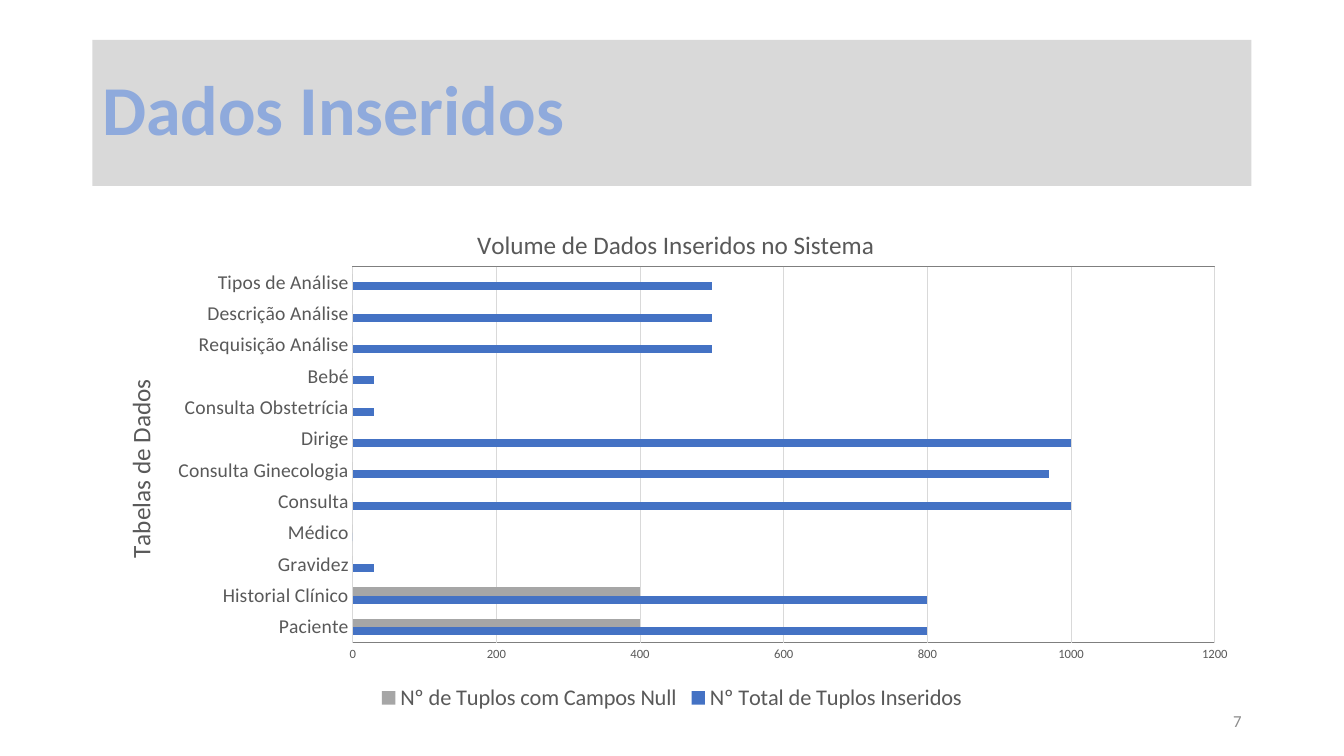
from dataclasses import dataclass

from lxml.etree import SubElement
from pptx import Presentation
from pptx.chart.data import CategoryChartData
from pptx.dml.color import RGBColor
from pptx.enum.chart import XL_CHART_TYPE, XL_LEGEND_POSITION, XL_TICK_MARK
from pptx.enum.shapes import MSO_SHAPE
from pptx.enum.text import MSO_ANCHOR, PP_ALIGN
from pptx.oxml import parse_xml
from pptx.oxml.ns import nsdecls, qn
from pptx.util import Emu, Pt

EMU_PER_PX = 9525
CHART_BOX = (88, 192, 1104, 490)
PLOT_BOX = (248, 62, 821, 358)

TOTALS = {
    "Paciente": 800,
    "Historial Clínico": 800,
    "Gravidez": 30,
    "Médico": 0,
    "Consulta": 1000,
    "Consulta Ginecologia": 970,
    "Dirige": 1000,
    "Consulta Obstetrícia": 30,
    "Bebé": 30,
    "Requisição Análise": 500,
    "Descrição Análise": 500,
    "Tipos de Análise": 500,
}
WITH_NULLS = {"Paciente": 400, "Historial Clínico": 400}


@dataclass(frozen=True)
class Theme:
    font: str = "Calibri"
    banner: str = "D9D9D9"
    heading: str = "8FAADC"
    chart_text: str = "595959"
    page_number: str = "8C8C8C"
    grid: str = "D9D9D9"
    frame: str = "7F7F7F"
    total: str = "4472C4"
    nulls: str = "A6A6A6"
    heading_size: int = 50
    chart_title_size: int = 18
    legend_size: int = 16
    category_size: int = 14
    page_number_size: int = 12
    value_size: int = 9


THEME = Theme()


def px(*lengths):
    return [Emu(length * EMU_PER_PX) for length in lengths]


def style_font(font, size, color, bold=False):
    font.name = THEME.font
    font.size = Pt(size)
    font.bold = bold
    font.color.rgb = RGBColor.from_string(color)


def style_line(line, color):
    line.color.rgb = RGBColor.from_string(color)
    line.width = Pt(0.75)


def write_text(frame, text, *, size, color, bold=False, align=None, spacing=None):
    paragraph = frame.paragraphs[0]
    paragraph.alignment = align
    paragraph.line_spacing = spacing
    run = paragraph.add_run()
    run.text = text
    style_font(run.font, size, color, bold)


def add_banner(slide, text):
    shape = slide.shapes.add_shape(MSO_SHAPE.RECTANGLE, *px(88, 38, 1104, 139))
    shape.shadow.inherit = False
    shape.fill.solid()
    shape.fill.fore_color.rgb = RGBColor.from_string(THEME.banner)
    shape.line.fill.background()
    frame = shape.text_frame
    frame.word_wrap = True
    frame.vertical_anchor = MSO_ANCHOR.MIDDLE
    write_text(frame, text, size=THEME.heading_size, color=THEME.heading,
               bold=True, align=PP_ALIGN.LEFT, spacing=0.9)


def add_page_number(slide, number):
    frame = slide.shapes.add_textbox(*px(904, 667, 288, 38)).text_frame
    frame.word_wrap = True
    frame.vertical_anchor = MSO_ANCHOR.MIDDLE
    write_text(frame, number, size=THEME.page_number_size,
               color=THEME.page_number, align=PP_ALIGN.RIGHT)


def place_in_chart(element, left, top, width=None, height=None):
    """Give a chart part a fixed place, in px from the chart's corner."""
    for old_layout in element.findall(qn("c:layout")):
        element.remove(old_layout)
    layout = parse_xml(f"<c:layout {nsdecls('c')}/>")
    manual = SubElement(layout, qn("c:manualLayout"))
    settings = {"xMode": "edge", "yMode": "edge",
                "x": left / CHART_BOX[2], "y": top / CHART_BOX[3]}
    if width:
        SubElement(manual, qn("c:layoutTarget")).set("val", "inner")
        settings |= {"w": width / CHART_BOX[2], "h": height / CHART_BOX[3]}
    for name, value in settings.items():
        SubElement(manual, qn(f"c:{name}")).set("val", str(value))
    text = element.find(qn("c:tx"))
    element.insert(0 if text is None else 1, layout)


def write_chart_title(title, text, left, top):
    write_text(title.text_frame, text, size=THEME.chart_title_size,
               color=THEME.chart_text)
    place_in_chart(title._element, left, top)


def frame_plot(plot_area):
    place_in_chart(plot_area, *PLOT_BOX)
    plot_area.append(parse_xml(
        f'<c:spPr {nsdecls("c", "a")}><a:noFill/><a:ln w="9525"><a:solidFill>'
        f'<a:srgbClr val="{THEME.frame}"/></a:solidFill></a:ln></c:spPr>'))


def style_axis(axis, size):
    axis.major_tick_mark = axis.minor_tick_mark = XL_TICK_MARK.NONE
    style_font(axis.tick_labels.font, size, THEME.chart_text)


def style_axes(chart):
    categories, values = chart.category_axis, chart.value_axis
    style_axis(categories, THEME.category_size)
    style_line(categories.format.line, THEME.grid)
    write_chart_title(categories.axis_title, "Tabelas de Dados", 25, 165)
    style_axis(values, THEME.value_size)
    values.minimum_scale, values.maximum_scale, values.major_unit = 0, 1200, 200
    values.format.line.fill.background()
    style_line(values.major_gridlines.format.line, THEME.grid)


def add_volume_chart(slide):
    data = CategoryChartData()
    data.categories = list(TOTALS)
    data.add_series("Nº Total de Tuplos Inseridos", list(TOTALS.values()))
    data.add_series("Nº de Tuplos com Campos Null",
                    [WITH_NULLS.get(name, 0) for name in TOTALS])
    chart = slide.shapes.add_chart(
        XL_CHART_TYPE.BAR_CLUSTERED, *px(*CHART_BOX), data).chart
    style_font(chart.font, THEME.value_size, THEME.chart_text)
    write_chart_title(chart.chart_title, "Volume de Dados Inseridos no Sistema",
                      362, 20)
    plot = chart.plots[0]
    plot.gap_width = 182
    plot.overlap = 0
    plot.vary_by_categories = False
    for series, color in zip(plot.series, (THEME.total, THEME.nulls)):
        series.format.fill.solid()
        series.format.fill.fore_color.rgb = RGBColor.from_string(color)
    style_axes(chart)
    chart.has_legend = True
    chart.legend.position = XL_LEGEND_POSITION.BOTTOM
    chart.legend.include_in_layout = False
    style_font(chart.legend.font, THEME.legend_size, THEME.chart_text)
    frame_plot(chart._chartSpace.chart.plotArea)


def main():
    presentation = Presentation()
    presentation.slide_width, presentation.slide_height = px(1280, 720)
    slide = presentation.slides.add_slide(presentation.slide_layouts[6])
    add_banner(slide, "Dados Inseridos")
    add_volume_chart(slide)
    add_page_number(slide, "7")
    presentation.save("out.pptx")


if __name__ == "__main__":
    main()
